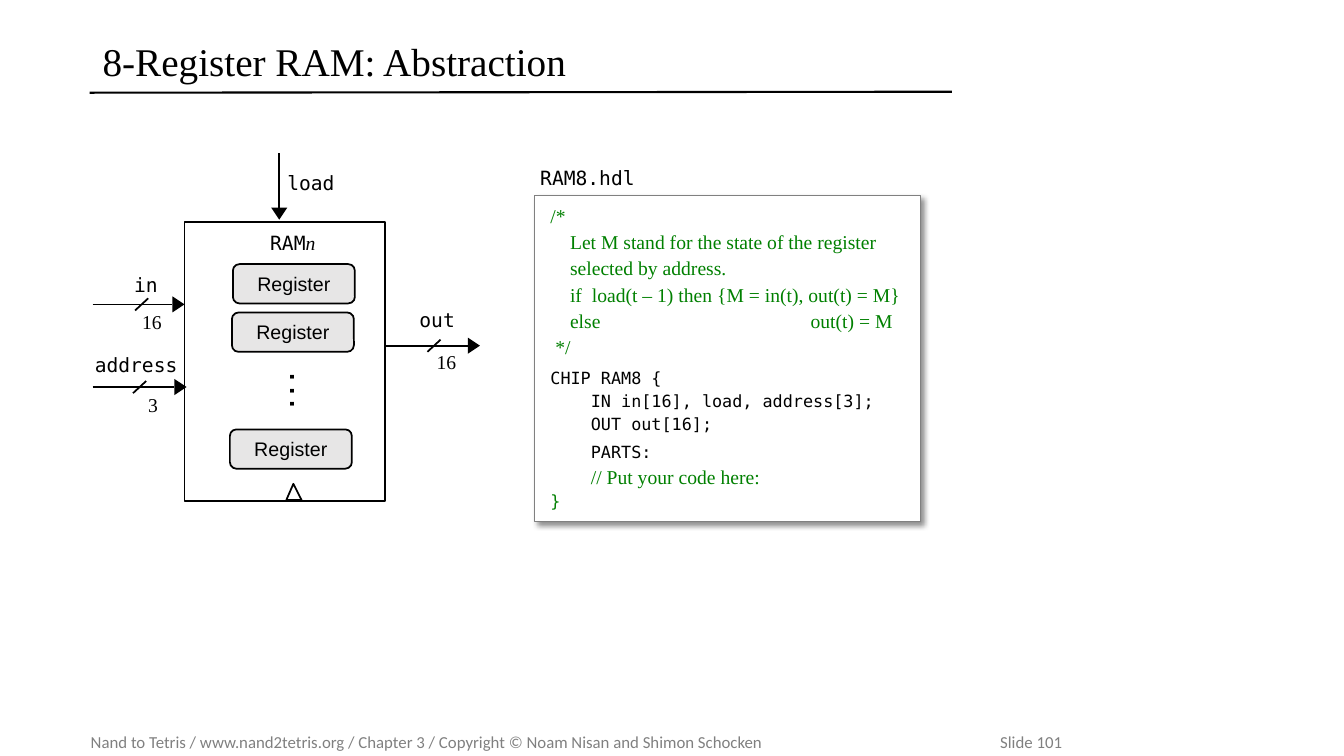
from dataclasses import dataclass
from math import hypot

from lxml.etree import SubElement
from pptx import Presentation
from pptx.dml.color import RGBColor
from pptx.enum.shapes import MSO_CONNECTOR as CONN, MSO_SHAPE as SHAPE
from pptx.enum.text import MSO_ANCHOR as ANCHOR, PP_ALIGN as ALIGN
from pptx.oxml.ns import qn
from pptx.util import Inches, Pt


@dataclass(frozen=True)
class Theme:
    black: str = "000000"
    white: str = "FFFFFF"
    gray: str = "808080"
    green: str = "008000"
    register: str = "E7E6E6"
    mono: str = "DejaVu Sans Mono"
    serif: str = "Times New Roman"
    sans: str = "Arial"
    footer_font: str = "Calibri"
    title: int = 28
    dots: int = 16
    label: int = 14
    code: int = 12
    rule: float = 1.5
    wire: float = 1.25
    frame: float = 0.75


THEME = Theme()


def run(text, *, font=THEME.mono, size=THEME.label, color=THEME.black, bold=False, italic=False):
    return text, font, size, color, bold, italic


def comment(text):
    return run(text, font=THEME.serif, color=THEME.green)


def code(text, **fmt):
    return run(text, size=THEME.code, **fmt)


class Deck:
    def __init__(self, prs, theme):
        self.t = theme
        self.s = prs.slides.add_slide(prs.slide_layouts[6])

    def set_text(self, tf, lines, inset=(0, 0, 0, 0), anchor=ANCHOR.TOP, align=ALIGN.LEFT,
                 tab=None, before=None, spacing=None):
        tf.word_wrap = True
        tf.vertical_anchor = anchor
        tf.margin_left, tf.margin_top, tf.margin_right, tf.margin_bottom = map(Inches, inset)
        for i, runs in enumerate(lines):
            p = tf.paragraphs[0] if i == 0 else tf.add_paragraph()
            p.alignment = align
            if spacing:
                p.line_spacing = spacing
            if before and i:
                p.space_before = Pt(before[i])
            if tab and any("\t" in r[0] for r in runs):
                tabs = SubElement(p._p.get_or_add_pPr(), qn("a:tabLst"))
                SubElement(tabs, qn("a:tab"), pos=str(Inches(tab)), algn="l")
            for text, font, size, color, bold, italic in runs:
                r = p.add_run()
                r.text = text
                r.font.name, r.font.size = font, Pt(size)
                r.font.bold, r.font.italic = bold, italic
                r.font.color.rgb = RGBColor.from_string(color)

    def text(self, x, y, w, h, *runs, rotation=0, **fmt):
        sp = self.s.shapes.add_textbox(*map(Inches, (x, y, w, h)))
        sp.rotation = rotation
        self.set_text(sp.text_frame, [runs], **fmt)

    def paint(self, sp, fill, line, width):
        sp.shadow.inherit = False
        if fill:
            sp.fill.solid()
            sp.fill.fore_color.rgb = RGBColor.from_string(fill)
        else:
            sp.fill.background()
        if line:
            sp.line.color.rgb = RGBColor.from_string(line)
            sp.line.width = Pt(width)
        else:
            sp.line.fill.background()

    def shape(self, kind, x, y, w, h, fill=None, line=THEME.black, width=THEME.wire):
        sp = self.s.shapes.add_shape(kind, *map(Inches, (x, y, w, h)))
        self.paint(sp, fill, line, width)
        return sp

    def polygon(self, points, fill, line=None):
        start, *rest = [(Inches(x), Inches(y)) for x, y in points]
        fb = self.s.shapes.build_freeform(*start)
        fb.add_line_segments(rest, close=True)
        self.paint(fb.convert_to_shape(), fill, line, self.t.wire)

    def line(self, x1, y1, x2, y2, width=THEME.wire):
        c = self.s.shapes.add_connector(CONN.STRAIGHT, *map(Inches, (x1, y1, x2, y2)))
        c.line.color.rgb = RGBColor.from_string(self.t.black)
        c.line.width = Pt(width)
        SubElement(c._element.spPr, qn("a:effectLst"))

    def arrow(self, x1, y1, x2, y2, length=0.12, half=0.08):
        d = hypot(x2 - x1, y2 - y1)
        ux, uy = (x2 - x1) / d, (y2 - y1) / d
        bx, by = x2 - length * ux, y2 - length * uy
        self.line(x1, y1, bx, by)
        self.polygon([(bx - half * uy, by + half * ux), (x2, y2),
                      (bx + half * uy, by - half * ux)], self.t.black)

    def bus(self, x1, y, x2, slash_x):
        self.arrow(x1, y, x2, y)
        self.line(slash_x, y + 0.06, slash_x + 0.13, y - 0.06)

    def register(self, x, y):
        sp = self.shape(SHAPE.ROUNDED_RECTANGLE, x, y, 1.21, 0.39, self.t.register)
        self.set_text(sp.text_frame, [[run("Register", font=self.t.sans)]],
                      anchor=ANCHOR.MIDDLE, align=ALIGN.CENTER)

    def listing(self, x, y, w, h, lines, **fmt):
        sp = self.shape(SHAPE.RECTANGLE, x, y, w, h, self.t.white, self.t.gray, self.t.frame)
        effects = sp._element.spPr.find(qn("a:effectLst"))
        shadow = SubElement(effects, qn("a:outerShdw"), blurRad=str(Pt(4)), dist=str(Pt(3)),
                            dir="2700000", algn="tl", rotWithShape="0")
        color = SubElement(shadow, qn("a:srgbClr"), val=self.t.black)
        SubElement(color, qn("a:alpha"), val="43000")
        self.set_text(sp.text_frame, lines, **fmt)


def main():
    prs = Presentation()
    prs.slide_width, prs.slide_height = Inches(13.33), Inches(7.5)
    t = THEME
    d = Deck(prs, t)

    d.text(0.9, 7.21, 12.25, 0.3,
           run("Nand to Tetris / www.nand2tetris.org / Chapter 3 / "
               "Copyright © Noam Nisan and Shimon Schocken\tSlide 101",
               font=t.footer_font, size=t.code, color=t.gray),
           inset=(0, 0.05, 0, 0.05), anchor=ANCHOR.MIDDLE, tab=9.02)
    d.line(0.89, 0.92, 9.44, 0.91, t.rule)
    d.text(0.92, 0.32, 8.53, 0.63,
           run("8-Register RAM: Abstraction", font=t.serif, size=t.title),
           inset=(0.1, 0.05, 0.1, 0.05), anchor=ANCHOR.MIDDLE, spacing=0.9)

    d.listing(5.3, 1.94, 3.83, 3.23, [
        [comment("/*")],
        [comment("    Let M stand for the state of the register")],
        [comment("    selected by address.")],
        [comment("    if  load(t – 1) then {M = in(t), out(t) = M}")],
        [comment("    else\tout(t) = M")],
        [comment(" */")],
        [code("CHIP RAM8 {")],
        [code("    IN in[16], load, address[3];")],
        [code("    OUT out[16];")],
        [code("    PARTS:")],
        [code("    "), comment("// Put your code here:")],
        [code("}", color=t.green)],
    ], inset=(0.16, 0.08, 0.16, 0), tab=2.58, before=(0, 2, 2, 2, 2, 2, 6, 2, 2, 6, 2, 2))
    d.text(5.26, 1.6, 2.1, 0.45, run("RAM8.hdl"), inset=(0.1, 0.05, 0.1, 0.05))

    d.shape(SHAPE.RECTANGLE, 1.83, 2.2, 1.99, 2.77)
    d.polygon([(2.99, 4.96), (2.84, 4.96), (2.91, 4.8)], t.white, t.black)
    d.text(2.68, 2.29, 0.6, 0.24, run("RAM"), run("n", font=t.serif, italic=True))
    for x, y in ((2.31, 2.62), (2.3, 3.1), (2.28, 4.26)):
        d.register(x, y)
    d.text(2.58, 3.93, 0.77, 0.27, run("...", size=t.dots, bold=True), rotation=90)

    d.arrow(2.77, 1.52, 2.77, 2.18)
    for x1, y, x2, slash_x in ((0.92, 3.02, 1.83, 1.34), (0.92, 3.84, 1.85, 1.32),
                               (3.83, 3.43, 4.76, 4.24)):
        d.bus(x1, y, x2, slash_x)
    for x, y, w, name in ((2.85, 1.7, 0.63, "load"), (1.33, 2.71, 0.4, "in"),
                          (0.94, 3.5, 0.84, "address"), (4.16, 3.06, 0.39, "out")):
        d.text(x, y, w, 0.24, run(name))
    for x, y, bits in ((1.41, 3.07, "16"), (1.47, 3.9, "3"), (4.33, 3.47, "16")):
        d.text(x, y, 0.29, 0.24, run(bits, font=t.serif))

    prs.save("out.pptx")


if __name__ == "__main__":
    main()
